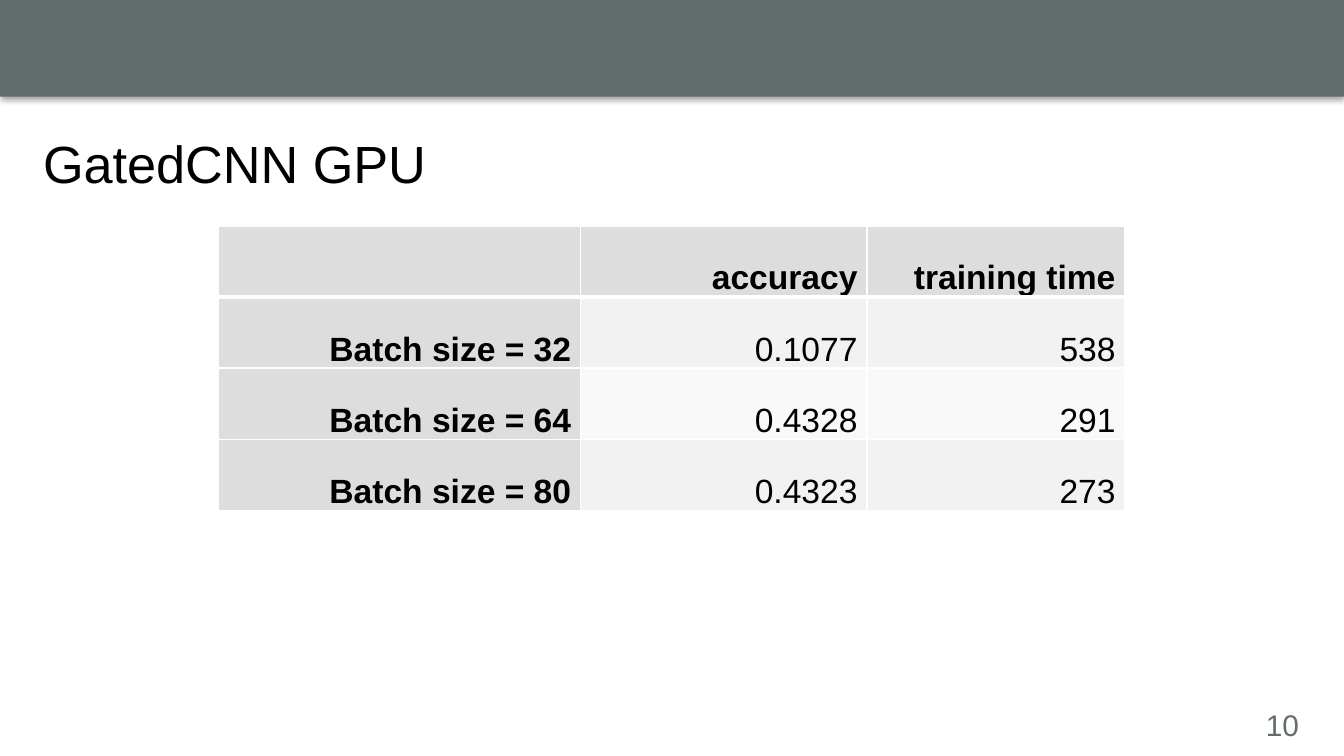
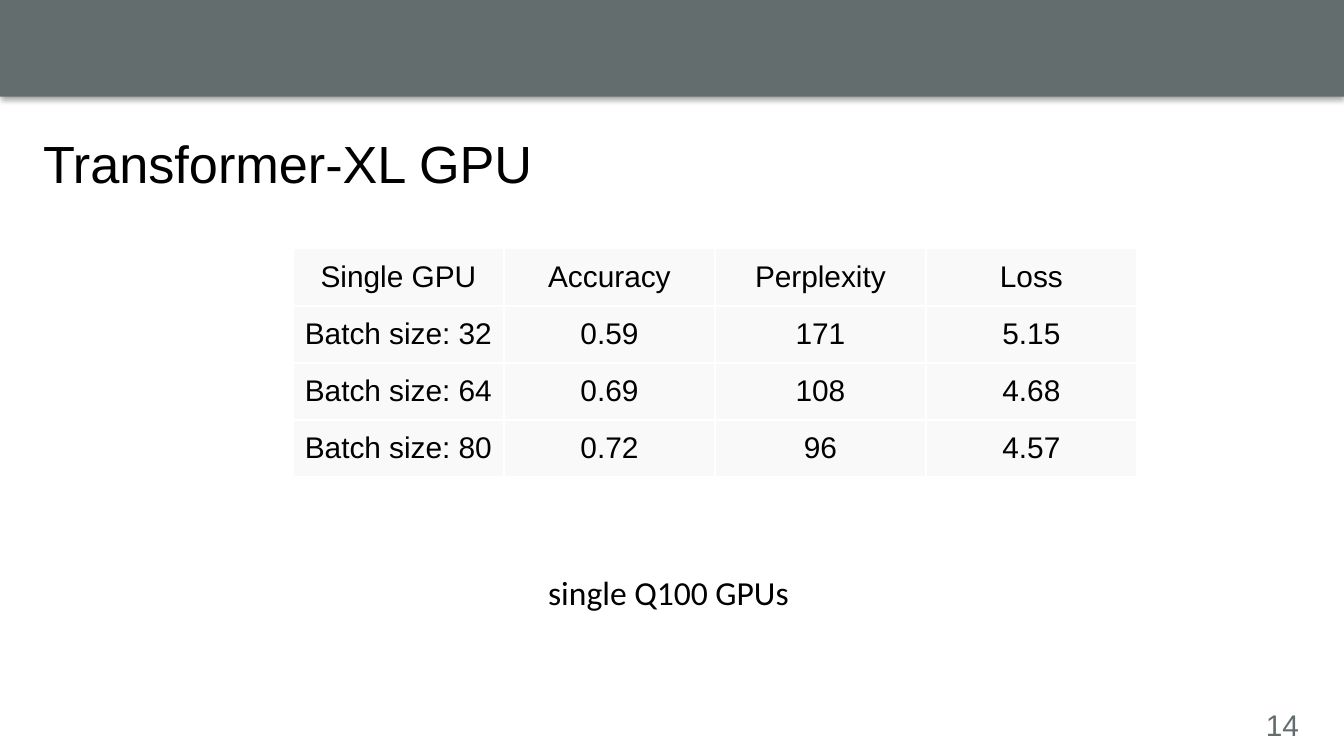
from lxml.etree import SubElement
from pptx import Presentation
from pptx.dml.color import RGBColor
from pptx.enum.shapes import MSO_SHAPE
from pptx.enum.text import MSO_ANCHOR, PP_ALIGN
from pptx.oxml import parse_xml
from pptx.oxml.ns import nsdecls, qn
from pptx.util import Inches, Pt

# Widescreen page, 16:9
PAGE_WIDTH = Inches(10)
PAGE_HEIGHT = PAGE_WIDTH * 9 // 16

COLORS = {
    "band": "636D6E",
    "ink": "000000",
    "white": "FFFFFF",
    "header": "DDDDDD",
    "stripe": "F2F2F2",
    "pale": "F9F9F9",
}

# Cell styles: margins are left, top, right, bottom in inches
RESULT_CELL = {"size": 18, "align": PP_ALIGN.RIGHT, "anchor": MSO_ANCHOR.BOTTOM,
               "margins": (0.07, 0, 0.07, 0)}
PLAIN_CELL = {"size": 16, "align": PP_ALIGN.CENTER, "anchor": MSO_ANCHOR.TOP,
              "margins": (0.07, 0.07, 0.07, 0.07)}

GATED_ROWS = [
    ["", "accuracy", "training time"],
    ["Batch size = 32", "0.1077", "538"],
    ["Batch size = 64", "0.4328", "291"],
    ["Batch size = 80", "0.4323", "273"],
]
TRANSFORMER_ROWS = [
    ["Single GPU", "Accuracy", "Perplexity", "Loss"],
    ["Batch size: 32", "0.59", "171", "5.15"],
    ["Batch size: 64", "0.69", "108", "4.68"],
    ["Batch size: 80", "0.72", "96", "4.57"],
]


def color(name):
    return RGBColor.from_string(COLORS[name])


def set_all(target, values):
    for name, value in values.items():
        setattr(target, name, value)


def place(shape, left, top, width, height):
    set_all(shape, {"left": Inches(left), "top": Inches(top),
                    "width": Inches(width), "height": Inches(height)})


def write(para, text, size, ink="ink", font="Arial", bold=False):
    span = para.add_run()
    span.text = text
    set_all(span.font, {"name": font, "size": Pt(size), "bold": bold})
    span.font.color.rgb = color(ink)


def add_text(page, area, text, size, **style):
    box = page.shapes.add_textbox(*map(Inches, area))
    box.text_frame.word_wrap = True
    write(box.text_frame.paragraphs[0], text, size, **style)


def add_band(page):
    band = page.shapes.add_shape(
        MSO_SHAPE.RECTANGLE, *map(Inches, (0, -0.03, 10, 0.75)))
    band.fill.solid()
    band.fill.fore_color.rgb = color("band")
    band.line.fill.background()
    # Soft shadow straight below the band
    band.shadow.inherit = False
    effects = band._element.spPr.find(qn("a:effectLst"))
    effects.append(parse_xml(
        f'<a:outerShdw {nsdecls("a")} blurRad="{Pt(3.1)}" dist="{Pt(1.8)}" '
        f'dir="5400000" rotWithShape="0"><a:srgbClr val="{COLORS["ink"]}">'
        '<a:alpha val="35000"/></a:srgbClr></a:outerShdw>'))


def add_page(deck, title, number):
    page = deck.slides.add_slide(deck.slide_layouts[5])
    add_band(page)
    add_text(page, (9.32, 5.21, 0.48, 0.37), str(number), 16, ink="band")
    # Title
    heading = page.shapes.title
    place(heading, 0.22, 0.92, 9.66, 0.58)
    set_all(heading.text_frame, {"vertical_anchor": MSO_ANCHOR.MIDDLE,
                                 "word_wrap": True})
    para = heading.text_frame.paragraphs[0]
    para.alignment = PP_ALIGN.LEFT
    write(para, title, 28)
    return page


def set_borders(cell, top=1, bottom=1):
    properties = cell._tc.get_or_add_tcPr()
    widths = {"lnL": 1, "lnR": 1, "lnT": top, "lnB": bottom}
    for index, (side, width) in enumerate(widths.items()):
        line = parse_xml(f'<a:{side} {nsdecls("a")} w="{Pt(width)}"/>')
        fill = SubElement(line, qn("a:solidFill"))
        SubElement(fill, qn("a:srgbClr"), val=COLORS["white"])
        properties.insert(index, line)


def format_cell(cell, text, style, fill, bold):
    names = ("margin_left", "margin_top", "margin_right", "margin_bottom")
    set_all(cell, dict(zip(names, map(Inches, style["margins"]))))
    cell.vertical_anchor = style["anchor"]
    cell.fill.solid()
    cell.fill.fore_color.rgb = color(fill)
    para = cell.text_frame.paragraphs[0]
    set_all(para, {"alignment": style["align"], "line_spacing": 1.07})
    if text:
        write(para, text, style["size"], bold=bold)


def add_table(page, left, top, widths, row_height, rows, style, headed):
    table = page.shapes.add_table(
        len(rows), len(widths), Inches(left), Inches(top),
        Inches(sum(widths)), Inches(row_height * len(rows))).table
    set_all(table, {"first_row": headed, "first_col": headed,
                    "horz_banding": False})
    for column, width in zip(table.columns, widths):
        column.width = Inches(width)
    for i, values in enumerate(rows):
        table.rows[i].height = Inches(row_height)
        for j, text in enumerate(values):
            heading = headed and (i == 0 or j == 0)
            striped = headed and i % 2 == 1
            fill = "header" if heading else "stripe" if striped else "pale"
            cell = table.cell(i, j)
            format_cell(cell, text, style, fill, heading)
            # A thick rule parts the header row from the body
            set_borders(cell, top=3 if headed and i == 1 else 1,
                        bottom=3 if headed and i == 0 else 1)


def main():
    deck = Presentation()
    set_all(deck, {"slide_width": PAGE_WIDTH, "slide_height": PAGE_HEIGHT})

    page = add_page(deck, "GatedCNN GPU", 10)
    add_table(page, 1.62, 1.68, [2.7, 2.13, 1.92], 0.53,
              GATED_ROWS, RESULT_CELL, headed=True)

    page = add_page(deck, "Transformer-XL GPU", 14)
    add_table(page, 2.18, 1.85, [1.57] * 4, 0.42,
              TRANSFORMER_ROWS, PLAIN_CELL, headed=False)
    add_text(page, (3.98, 4.21, 2.04, 0.4), "single Q100 GPUs", 18,
             font="Calibri")

    deck.save("out.pptx")


main()
